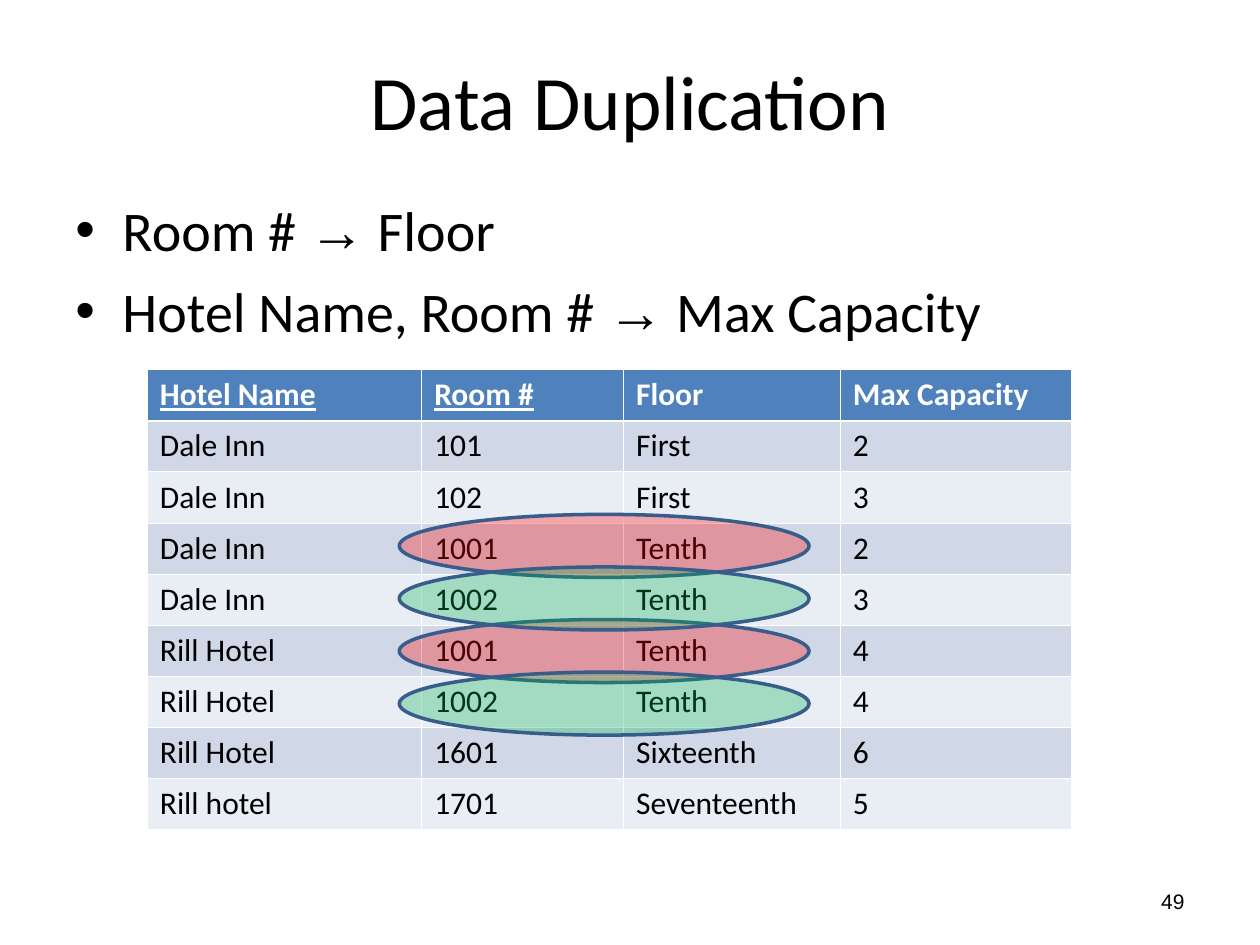
"""Build the Data Duplication slide: two dependencies, a hotel table and row highlights."""
from dataclasses import dataclass

from lxml.etree import SubElement
from pptx import Presentation
from pptx.dml.color import RGBColor as Rgb
from pptx.enum.shapes import MSO_SHAPE as ShapeKind
from pptx.enum.text import MSO_ANCHOR as Anchor, PP_ALIGN as Align
from pptx.oxml.ns import qn
from pptx.util import Cm, Pt


@dataclass(frozen=True)
class Theme:
    body_font: str = "Calibri"
    plain_font: str = "Arial"
    title_size: int = 44
    bullet_size: int = 32
    table_size: int = 18
    number_size: int = 12
    text: str = "000000"
    light: str = "FFFFFF"
    header: str = "4F81BD"
    bands: tuple = ("D0D8E8", "E9EDF4")
    outline: str = "385D8A"
    red: str = "FF0000"
    green: str = "00B050"


class SlideBuilder:
    def __init__(self, slide, theme):
        self.slide = slide
        self.theme = theme

    def style(self, font, size, color, name=None):
        font.size = Pt(size)
        font.color.rgb = Rgb.from_string(color)
        font.name = name or self.theme.body_font

    def text_frame(self, left, top, width, height, anchor=Anchor.TOP):
        box = self.slide.shapes.add_textbox(Cm(left), Cm(top), Cm(width), Cm(height))
        box.text_frame.word_wrap = True
        box.text_frame.vertical_anchor = anchor
        return box.text_frame

    def line(self, text, place, size, align, name=None):
        paragraph = self.text_frame(*place, Anchor.MIDDLE).paragraphs[0]
        paragraph.text = text
        paragraph.alignment = align
        self.style(paragraph.font, size, self.theme.text, name)

    def dependencies(self, pairs, place):
        frame = self.text_frame(*place)
        for index, (source, target) in enumerate(pairs):
            paragraph = frame.add_paragraph() if index else frame.paragraphs[0]
            if index:
                paragraph.space_before = Pt(8)
            properties = paragraph._p.get_or_add_pPr()
            properties.set("marL", str(Cm(0.95)))
            properties.set("indent", str(Cm(-0.95)))
            SubElement(properties, qn("a:buFont"), typeface=self.theme.plain_font)
            SubElement(properties, qn("a:buChar"), char="•")
            self.style(paragraph.font, self.theme.bullet_size, self.theme.text)
            for text in (f"{source} ", "→", f" {target}"):
                run = paragraph.add_run()
                run.text = text
                if text == "→":
                    run.font.name = self.theme.plain_font

    def borders(self, cell, widths):
        properties = cell._tc.get_or_add_tcPr()
        for side, width in widths.items():
            border = SubElement(properties, qn(f"a:ln{side}"), w=str(Pt(width)))
            fill = SubElement(border, qn("a:solidFill"))
            SubElement(fill, qn("a:srgbClr"), val=self.theme.light)

    def table(self, rows, keys, left, top, column_widths, row_height):
        frame = self.slide.shapes.add_table(
            len(rows), len(column_widths), Cm(left), Cm(top),
            Cm(sum(column_widths)), Cm(row_height * len(rows)))
        table = frame.table
        for column, width in zip(table.columns, column_widths):
            column.width = Cm(width)
        for row_index, values in enumerate(rows):
            table.rows[row_index].height = Cm(row_height)
            is_header = row_index == 0
            color = self.theme.light if is_header else self.theme.text
            fill = self.theme.header if is_header else self.theme.bands[(row_index - 1) % 2]
            widths = {"L": 0.45, "R": 0.45,
                      "T": 1.47 if row_index == 1 else 0.45,
                      "B": 1.47 if is_header else 0.45}
            for column_index, value in enumerate(values):
                cell = table.cell(row_index, column_index)
                self.borders(cell, widths)
                cell.fill.solid()
                cell.fill.fore_color.rgb = Rgb.from_string(fill)
                paragraph = cell.text_frame.paragraphs[0]
                paragraph.text = value
                self.style(paragraph.font, self.theme.table_size, color)
                paragraph.font.bold = is_header
                paragraph.font.underline = is_header and value in keys

    def highlight(self, color, left, top, width, height):
        shape = self.slide.shapes.add_shape(
            ShapeKind.OVAL, Cm(left), Cm(top), Cm(width), Cm(height))
        shape.shadow.inherit = False
        shape.fill.solid()
        shape.fill.fore_color.rgb = Rgb.from_string(color)
        solid_fill = shape._element.spPr.find(qn("a:solidFill"))
        SubElement(solid_fill[0], qn("a:alpha"), val="30000")
        shape.line.color.rgb = Rgb.from_string(self.theme.outline)
        shape.line.width = Pt(2)


def main():
    presentation = Presentation()
    presentation.slide_width, presentation.slide_height = Cm(25.4), Cm(19.05)
    theme = Theme()
    builder = SlideBuilder(presentation.slides.add_slide(presentation.slide_layouts[6]), theme)

    builder.line("Data Duplication", (1.27, 0.43, 22.86, 3.18), theme.title_size, Align.CENTER)
    builder.dependencies(
        [("Room #", "Floor"), ("Hotel Name, Room #", "Max Capacity")],
        (1.27, 3.81, 22.86, 12.57))
    builder.line("49", (18.2, 17.65, 5.93, 1.02), theme.number_size, Align.RIGHT,
                 theme.plain_font)

    rows = [
        ("Hotel Name", "Room #", "Floor", "Max Capacity"),
        ("Dale Inn", "101", "First", "2"),
        ("Dale Inn", "102", "First", "3"),
        ("Dale Inn", "1001", "Tenth", "2"),
        ("Dale Inn", "1002", "Tenth", "3"),
        ("Rill Hotel", "1001", "Tenth", "4"),
        ("Rill Hotel", "1002", "Tenth", "4"),
        ("Rill Hotel", "1601", "Sixteenth", "6"),
        ("Rill hotel", "1701", "Seventeenth", "5"),
    ]
    builder.table(rows, ("Hotel Name", "Room #"), 2.97, 7.45, (5.53, 4.07, 4.37, 4.65), 1.03)

    first_top, pitch = 10.37, 1.06
    for color, positions in ((theme.red, (0, 2)), (theme.green, (1, 3))):
        for position in positions:
            builder.highlight(color, 8.05, first_top + position * pitch, 8.26, 1.27)

    presentation.save("out.pptx")


if __name__ == "__main__":
    main()
